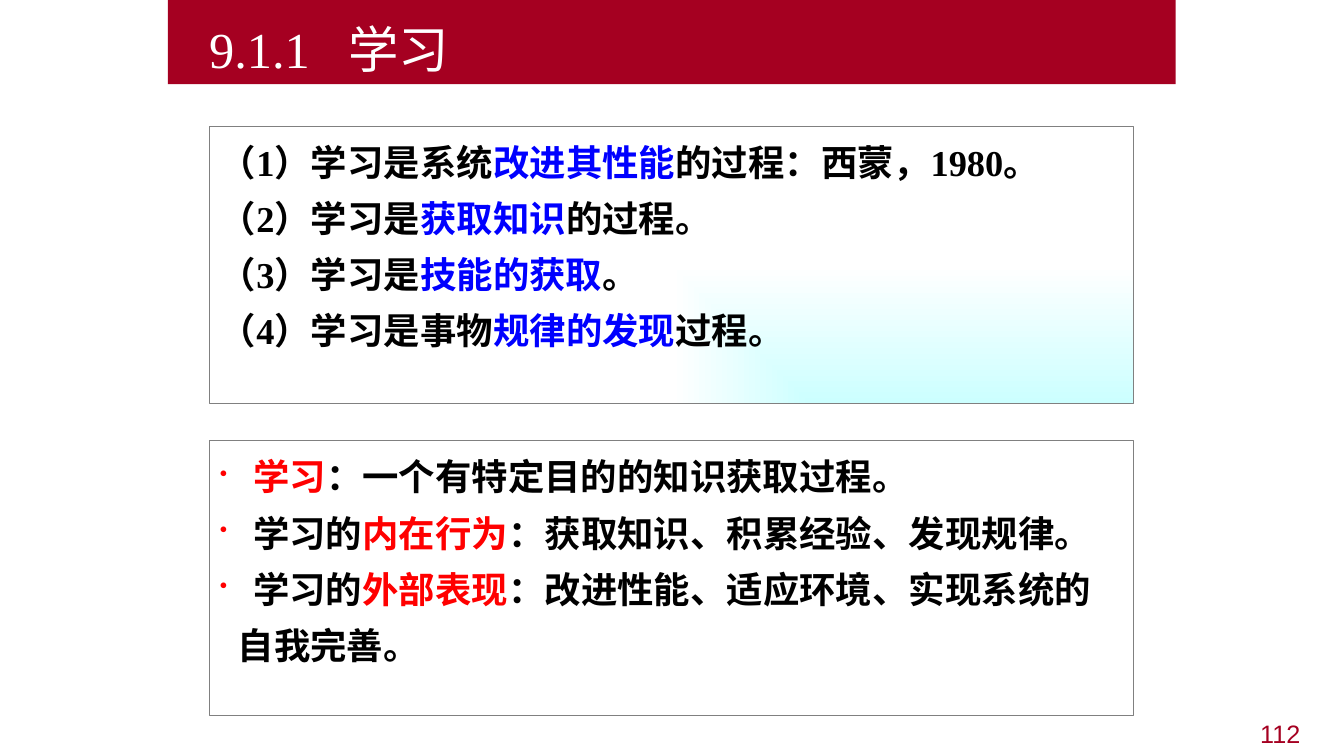
import pptx
import pptx.dml.color
import pptx.enum.shapes
import pptx.enum.text
import pptx.oxml
import pptx.oxml.ns
import pptx.util
from pptx.util import Cm

ALIGN = pptx.enum.text.PP_ALIGN
ANCHOR = pptx.enum.text.MSO_ANCHOR
NAMESPACE = pptx.oxml.ns.nsdecls("a")
CRIMSON, BLACK, WHITE = "A50021", "000000", "FFFFFF"
BLUE, RED, GREY = "0000FF", "FF0000", "808080"

DEFINITIONS = [
    [("（1）学习是系统", BLACK), ("改进其性能", BLUE), ("的过程：西蒙，1980。", BLACK)],
    [("（2）学习是", BLACK), ("获取知识", BLUE), ("的过程。", BLACK)],
    [("（3）学习是", BLACK), ("技能的获取", BLUE), ("。", BLACK)],
    [("（4）学习是事物", BLACK), ("规律的发现", BLUE), ("过程。", BLACK)],
]
FEATURES = [
    [("学习", RED), ("：一个有特定目的的知识获取过程。", BLACK)],
    [("学习的", BLACK), ("内在行为", RED), ("：获取知识、积累经验、发现规律。", BLACK)],
    [("学习的", BLACK), ("外部表现", RED), ("：改进性能、适应环境、实现系统的", BLACK)],
]
CONCLUSION = [("自我完善。", BLACK)]


def color(value):
    return pptx.dml.color.RGBColor.from_string(value)


def element(markup):
    """Parse one DrawingML element, adding the namespace to its root tag."""
    tag, rest = markup.split(" ", 1)
    return pptx.oxml.parse_xml(f"{tag} {NAMESPACE} {rest}")


class SlideBuilder:
    """Holds the deck style and the current slide."""
    east_asian = "Noto Sans CJK SC"

    def __init__(self, deck):
        self.page = deck.slides.add_slide(deck.slide_layouts[5])

    def add_spans(self, para, spans, font="Times New Roman", size=26, bold=True,
                  align=ALIGN.LEFT, line=1.0, before=0):
        para.alignment = align
        para.line_spacing = line
        para.space_before = pptx.util.Pt(before)
        for text, ink in spans:
            span = para.add_run()
            span.text = text
            span.font.name = font
            span.font.size = pptx.util.Pt(size)
            span.font.bold = bold
            span.font.color.rgb = color(ink)
            span.font._element.append(element(f'<a:ea typeface="{self.east_asian}"/>'))

    def frame(self, box, anchor):
        frame = box.text_frame
        frame.word_wrap = True
        frame.auto_size = pptx.enum.text.MSO_AUTO_SIZE.NONE
        frame.vertical_anchor = anchor
        return frame

    def title(self, number, name, left, top, width, height):
        box = self.page.shapes.title
        box.left, box.top, box.width, box.height = left, top, width, height
        box.fill.solid()
        box.fill.fore_color.rgb = color(CRIMSON)
        frame = self.frame(box, ANCHOR.BOTTOM)
        frame.margin_left = Cm(1.04)
        para = frame.paragraphs[0]
        para._p.get_or_add_pPr().append(element(
            f'<a:tabLst ><a:tab pos="{Cm(3.5)}" algn="l"/></a:tabLst>'))
        self.add_spans(para, [(f"{number}\t{name}", WHITE)], size=36, bold=False)

    def panel(self, left, top, width, height):
        """Add a white box with a thin grey outline."""
        box = self.page.shapes.add_shape(
            pptx.enum.shapes.MSO_SHAPE.RECTANGLE, left, top, width, height)
        box.shadow.inherit = False
        box.fill.solid()
        box.fill.fore_color.rgb = color(WHITE)
        box.line.color.rgb = color(GREY)
        box.line.width = pptx.util.Pt(0.75)
        return box

    def corner_glow(self, box, ink):
        """Shade the box from its bottom right corner out to white."""
        properties = box._element.spPr
        solid = properties.find(pptx.oxml.ns.qn("a:solidFill"))
        properties.replace(solid, element(
            '<a:gradFill rotWithShape="1"><a:gsLst>'
            f'<a:gs pos="0"><a:srgbClr val="{ink}"/></a:gs>'
            f'<a:gs pos="100000"><a:srgbClr val="{WHITE}"/></a:gs></a:gsLst>'
            '<a:path path="rect"><a:fillToRect l="100000" t="100000"/></a:path>'
            '</a:gradFill>'))

    def bullet(self, para, ink):
        properties = para._p.get_or_add_pPr()
        properties.set("marL", str(Cm(0.84)))
        properties.set("indent", str(-Cm(0.84)))
        for markup in (f'<a:buClr ><a:srgbClr val="{ink}"/></a:buClr>',
                       '<a:buSzPct val="60000"/>', '<a:buChar char="•"/>'):
            properties.append(element(markup))

    def paragraphs(self, box, rows, bulleted=0, **style):
        """Add one paragraph per row, the first ones with bullets."""
        frame = self.frame(box, ANCHOR.TOP)
        for index, spans in enumerate(rows):
            para = frame.add_paragraph() if index else frame.paragraphs[0]
            if index < bulleted:
                self.bullet(para, RED)
            elif bulleted:
                para._p.get_or_add_pPr().set("marL", str(Cm(0.45)))
            self.add_spans(para, spans, line=1.2, before=2.7 if index else 0, **style)

    def page_number(self, text, left, top, width, height):
        box = self.page.shapes.add_textbox(left, top, width, height)
        para = self.frame(box, ANCHOR.MIDDLE).paragraphs[0]
        self.add_spans(para, [(text, CRIMSON)], font="Arial", size=18, bold=False,
                       align=ALIGN.RIGHT)


def main():
    deck = pptx.Presentation()
    deck.slide_width, deck.slide_height = Cm(33.87), Cm(19.05)
    slide = SlideBuilder(deck)
    slide.title("9.1.1", "学习", Cm(4.23), Cm(0), Cm(25.4), Cm(2.12))

    definitions = slide.panel(Cm(5.29), Cm(3.18), Cm(23.28), Cm(6.99))
    slide.corner_glow(definitions, "CCFFFF")
    slide.paragraphs(definitions, DEFINITIONS)

    features = slide.panel(Cm(5.29), Cm(11.11), Cm(23.28), Cm(6.91))
    slide.paragraphs(features, FEATURES + [CONCLUSION], bulleted=len(FEATURES),
                     font="Noto Sans CJK SC", align=ALIGN.JUSTIFY)

    slide.page_number("112", Cm(25.68), Cm(17.98), Cm(7.34), Cm(0.99))
    deck.save("out.pptx")


if __name__ == "__main__":
    main()
